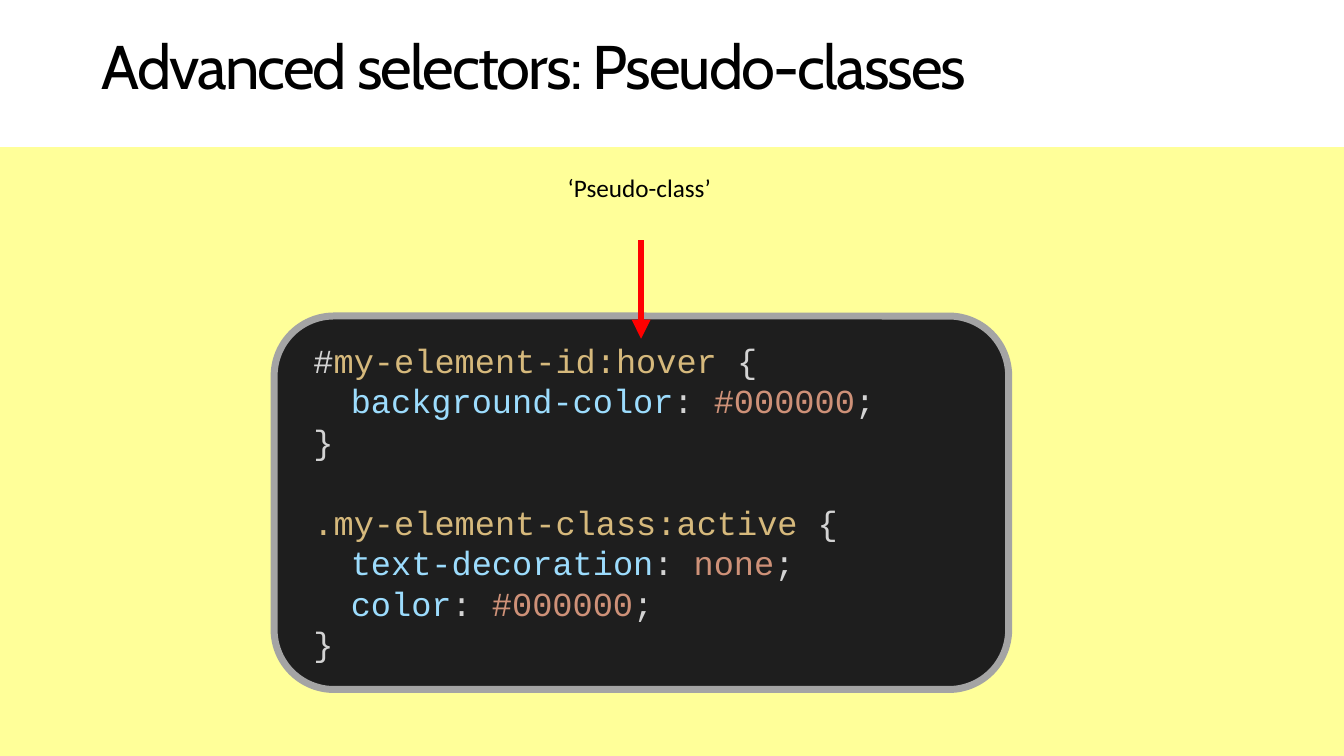
"""Build a slide that shows where a pseudo-class sits in a CSS selector."""
from dataclasses import dataclass

from lxml import etree
from pptx import Presentation
from pptx.dml.color import RGBColor
from pptx.enum.shapes import MSO_CONNECTOR, MSO_SHAPE
from pptx.oxml.ns import qn
from pptx.util import Inches, Pt

RECT = MSO_SHAPE.RECTANGLE
ROUND = MSO_SHAPE.ROUNDED_RECTANGLE
LINE = MSO_CONNECTOR.STRAIGHT

WIDE, HIGH = Inches(13.33), Inches(7.5)
PITCH = 28.9

HUE = {
    "page": "FFFF99",
    "white": "FFFFFF",
    "black": "000000",
    "card": "1E1E1E",
    "edge": "A4A4A4",
    "arrow": "FF0000",
    "plain": "D3D3D3",
    "pick": "D6B97C",
    "prop": "9CDCFD",
    "value": "CE9178",
}


@dataclass
class Box:
    """Hold a place in percent of the slide's width and height."""
    left: float
    top: float
    width: float
    height: float

    def emu(self) -> tuple:
        """Return the place in slide units."""
        return (across(self.left), down(self.top),
                across(self.width), down(self.height))


@dataclass
class Panel:
    """Describe a filled shape."""
    box: Box
    form: int
    fill: str
    edge: str = ""
    weight: float = 0
    bend: float = 0


@dataclass
class Row:
    """Describe a line of text as (text, hue) runs."""
    runs: list
    indent: float = 0.01
    gap: float = 0


@dataclass
class Note:
    """Describe a text box."""
    box: Box
    rows: list
    font: str
    size: float
    inset: tuple = (0, 0.01, 0, 0)
    pitch: float = 0
    track: int = 0


def across(share: float) -> int:
    """Turn a percent of the width into slide units."""
    return round(WIDE * share / 100)


def down(share: float) -> int:
    """Turn a percent of the height into slide units."""
    return round(HIGH * share / 100)


def tint(name: str) -> RGBColor:
    """Look up a colour."""
    return RGBColor.from_string(HUE[name])


def rule(prop: str, value: str) -> Row:
    """Make an indented CSS declaration."""
    return Row([(prop, "prop"), (": ", "plain"), (value, "value"),
                (";", "plain")], 0.38)


def head(text: str, mark: str, hue: str, gap: float) -> Row:
    """Make the opening line of a CSS block."""
    return Row([(mark, hue), (text + " ", "pick"), ("{", "plain")], gap=gap)


def draw_panel(slide, panel: Panel) -> None:
    """Draw a filled shape."""
    shape = slide.shapes.add_shape(panel.form, *panel.box.emu())
    shape.shadow.inherit = False
    shape.fill.solid()
    shape.fill.fore_color.rgb = tint(panel.fill)
    if panel.bend:
        shape.adjustments[0] = panel.bend
    if panel.edge:
        shape.line.color.rgb = tint(panel.edge)
        shape.line.width = Pt(panel.weight)
    else:
        shape.line.fill.background()


def draw_note(slide, note: Note) -> None:
    """Draw a text box run by run."""
    frame = slide.shapes.add_textbox(*note.box.emu()).text_frame
    frame.word_wrap = True
    (frame.margin_left, frame.margin_top, frame.margin_right,
     frame.margin_bottom) = map(Inches, note.inset)
    for i, row in enumerate(note.rows):
        para = frame.add_paragraph() if i else frame.paragraphs[0]
        para.space_before = Pt(row.gap)
        if note.pitch:
            para.line_spacing = Pt(note.pitch)
        para._p.get_or_add_pPr().set("marL", str(Inches(row.indent)))
        for text, hue in row.runs:
            run = para.add_run()
            run.text = text
            run.font.name = note.font
            run.font.size = Pt(note.size)
            run.font.color.rgb = tint(hue)
            if note.track:
                run._r.get_or_add_rPr().set("spc", str(note.track))


def draw_arrow(slide, left: float, top: float, end: float) -> None:
    """Draw an arrow that points straight down."""
    arrow = slide.shapes.add_connector(
        LINE, across(left), down(top), across(left), down(end))
    arrow.line.color.rgb = tint("arrow")
    arrow.line.width = Pt(4.5)
    tip = etree.SubElement(arrow.line._get_or_add_ln(), qn("a:tailEnd"))
    tip.set("type", "triangle")
    etree.SubElement(arrow._element.spPr, qn("a:effectLst"))


PANELS = [
    Panel(Box(0, 0, 100, 100), RECT, "page"),
    Panel(Box(0, 0, 100, 19.4), RECT, "white", "white", 1),
    Panel(Box(20.4, 41.8, 54.65, 49.4), ROUND, "card", "edge", 5, 0.16),
]

CLOSE = Row([("}", "plain")])
CODE = [
    head("my-element-id:hover", "#", "plain", 0.1),
    rule("background-color", "#000000"),
    CLOSE,
    head("my-element-class:active", ".", "pick", PITCH),
    rule("text-decoration", "none"),
    rule("color", "#000000"),
    CLOSE,
]

NOTES = [
    Note(Box(7.5, 3.6, 76, 10),
         [Row([("Advanced selectors: Pseudo-classes", "black")], gap=1)],
         "Cabin", 44, track=-140),
    Note(Box(23.25, 44.8, 49.9, 43.3), CODE, "Courier New", 24, pitch=PITCH),
    Note(Box(41.5, 22.1, 13.4, 5.4),
         [Row([("‘Pseudo-class’", "black")], 0)],
         "Calibri", 18, (0.1, 0.05, 0.1, 0.05)),
]


def main() -> None:
    """Build and save the deck."""
    deck = Presentation()
    deck.slide_width, deck.slide_height = WIDE, HIGH
    slide = deck.slides.add_slide(deck.slide_layouts[6])
    for panel in PANELS:
        draw_panel(slide, panel)
    for note in NOTES:
        draw_note(slide, note)
    draw_arrow(slide, 47.7, 31.75, 44.8)
    deck.save("out.pptx")


if __name__ == "__main__":
    main()
